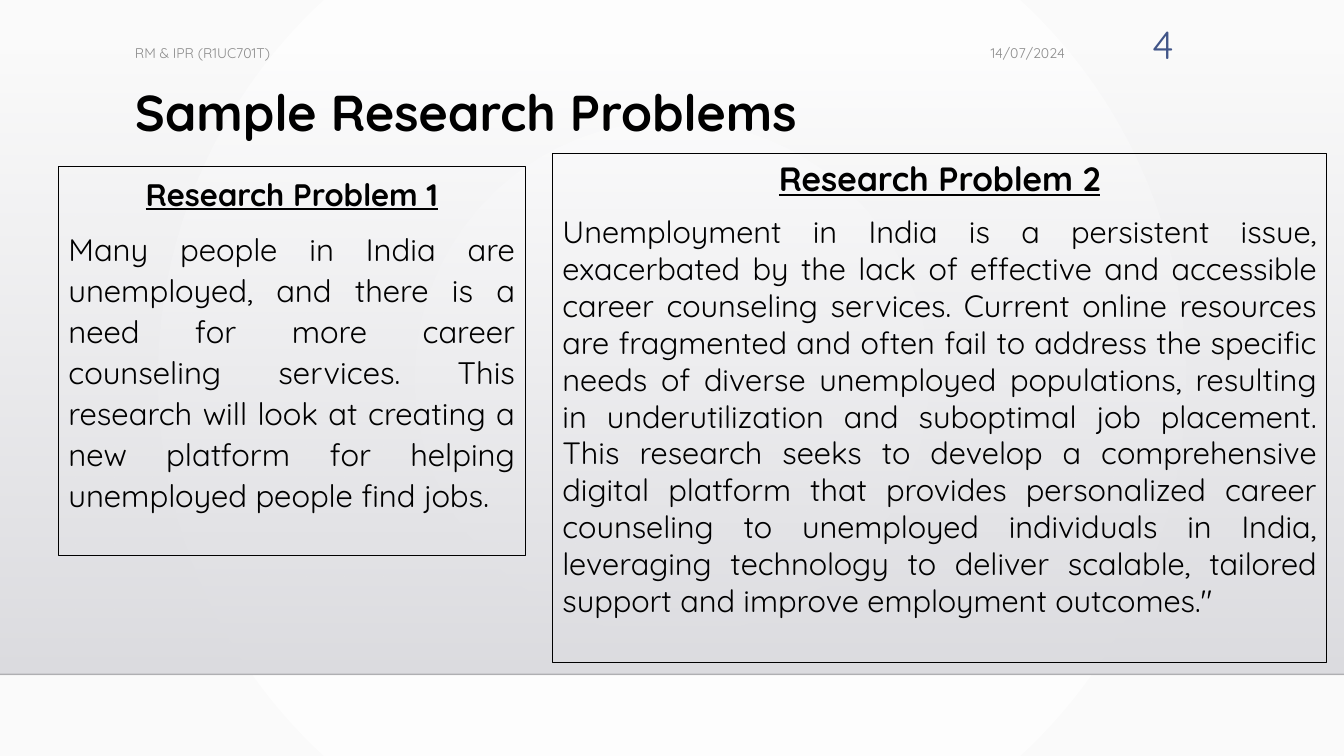
import pptx
import pptx.dml.color
import pptx.enum.shapes
import pptx.enum.text
import pptx.oxml
import pptx.oxml.ns
import pptx.util

WIDTH, HEIGHT = 13.33, 7.5
FONT = "Quicksand"
BLACK, GREY, BLUE = "000000", "8C8C8C", "415588"
MARGIN = 1.24
FOOTER_TOP, FOOTER_HEIGHT = 0.36, 0.34
BAND_TOP, BAND_BOTTOM = 0.51, 6.69

ALIGN = pptx.enum.text.PP_ALIGN
ANCHOR = pptx.enum.text.MSO_ANCHOR
NAMESPACE = pptx.oxml.ns.nsdecls("a")
qualified = pptx.oxml.ns.qn

PROBLEM_1 = (
    "Many people in India are unemployed, and there is a need for more career "
    "counseling services. This research will look at creating a new platform "
    "for helping unemployed people find jobs."
)
PROBLEM_2 = (
    "Unemployment in India is a persistent issue, exacerbated by the lack of "
    "effective and accessible career counseling services. Current online "
    "resources are fragmented and often fail to address the specific needs of "
    "diverse unemployed populations, resulting in underutilization and "
    "suboptimal job placement. This research seeks to develop a comprehensive "
    "digital platform that provides personalized career counseling to "
    "unemployed individuals in India, leveraging technology to deliver "
    'scalable, tailored support and improve employment outcomes."'
)


def color(value):
    return pptx.dml.color.RGBColor.from_string(value)


def inches(*lengths):
    return [pptx.util.Inches(length) for length in lengths]


def set_alpha(color_element, percent):
    color_element.append(pptx.oxml.parse_xml(
        f'<a:alpha {NAMESPACE} val="{percent * 1000}"/>'))


def set_gradient(fill, start, end):
    fill.gradient()
    for stop, value in zip(fill.gradient_stops, (start, end)):
        stop.color.rgb = color(value)


def add_background(slide):
    set_gradient(slide.background.fill, "FFFFFF", "FAFAFA")
    gradient = next(slide._element.iter(qualified("a:gradFill")))
    linear = gradient.find(qualified("a:lin"))
    gradient.replace(linear, pptx.oxml.parse_xml(
        f'<a:path {NAMESPACE} path="circle">'
        '<a:fillToRect l="50000" t="50000" r="50000" b="50000"/></a:path>'))


def add_band(slide):
    band = slide.shapes.add_shape(
        pptx.enum.shapes.MSO_SHAPE.RECTANGLE,
        *inches(0, BAND_TOP, WIDTH, BAND_BOTTOM - BAND_TOP))
    band.shadow.inherit = False
    band.line.fill.background()
    set_gradient(band.fill, "DCDCE0", "DEDEE2")
    band.fill.gradient_angle = 270
    set_alpha(next(band._element.iter(qualified("a:srgbClr"))), 0)

    # Faint rule along the lower edge
    rule = slide.shapes.add_connector(
        pptx.enum.shapes.MSO_CONNECTOR.STRAIGHT,
        *inches(0, BAND_BOTTOM, WIDTH, BAND_BOTTOM))
    rule.line.width = pptx.util.Pt(1)
    rule.line.color.rgb = color("000001")
    set_alpha(next(rule._element.iter(qualified("a:srgbClr"))), 20)
    rule._element.spPr.append(
        pptx.oxml.parse_xml(f"<a:effectLst {NAMESPACE}/>"))


def style_paragraph(paragraph, text, size, value=BLACK, align=ALIGN.LEFT,
                    bold=False, underline=False, spacing=1.0):
    paragraph.text = text
    paragraph.alignment = align
    paragraph.line_spacing = spacing
    font = paragraph.font
    font.name, font.size = FONT, pptx.util.Pt(size)
    font.bold, font.underline = bold, underline
    font.color.rgb = color(value)


def add_text(slide, box, text, size, anchor=ANCHOR.TOP, **style):
    shape = slide.shapes.add_textbox(*inches(*box))
    shape.text_frame.word_wrap = True
    shape.text_frame.vertical_anchor = anchor
    style_paragraph(shape.text_frame.paragraphs[0], text, size, **style)
    return shape


def add_problem(slide, box, heading, body, heading_size, body_size, spacing):
    shape = add_text(slide, box, heading, heading_size, align=ALIGN.CENTER,
                     bold=True, underline=True, spacing=spacing)
    shape.line.color.rgb = color(BLACK)
    shape.line.width = pptx.util.Pt(0.75)
    paragraph = shape.text_frame.add_paragraph()
    paragraph.space_before = pptx.util.Pt(10)
    style_paragraph(paragraph, body, body_size, align=ALIGN.JUSTIFY,
                    spacing=spacing)


def main():
    presentation = pptx.Presentation()
    presentation.slide_width, presentation.slide_height = inches(WIDTH, HEIGHT)
    slide = presentation.slides.add_slide(presentation.slide_layouts[6])

    # Backdrop
    add_background(slide)
    add_band(slide)

    # Title and the two problems
    add_text(slide, (MARGIN, 0.82, 10.5, 0.71), "Sample Research Problems", 36,
             bold=True, spacing=0.9)
    add_problem(slide, (0.58, 1.65, 4.63, 3.86), "Research Problem 1",
                PROBLEM_1, 22.2, 22.2, 1.1)
    add_problem(slide, (5.48, 1.52, 7.68, 5.05), "Research Problem 2",
                PROBLEM_2, 24, 22, 1.0)

    # Course, date and page number
    add_text(slide, (MARGIN, FOOTER_TOP, 6.49, FOOTER_HEIGHT),
             "RM & IPR (R1UC701T)", 10, ANCHOR.MIDDLE, value=GREY)
    add_text(slide, (7.91, FOOTER_TOP, 2.75, FOOTER_HEIGHT),
             "14/07/2024", 10, ANCHOR.MIDDLE, value=GREY, align=ALIGN.RIGHT)
    add_text(slide, (10.85, 0.15, 0.89, 0.55), "4", 28, value=BLUE,
             align=ALIGN.RIGHT)

    presentation.save("out.pptx")


if __name__ == "__main__":
    main()
